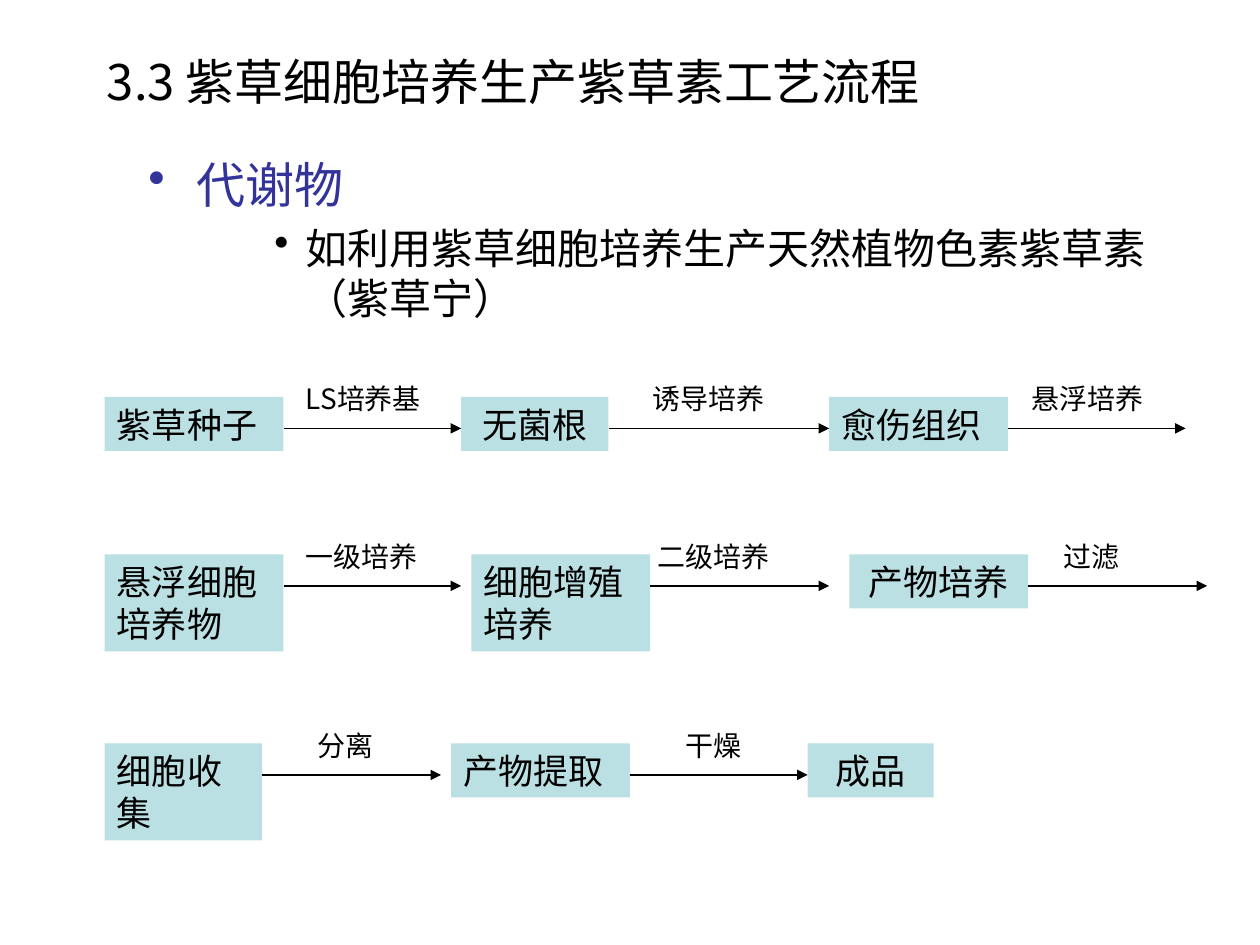
"""Build a slide showing the process flow for shikonin production by cell culture."""
from lxml.etree import SubElement
from pptx import Presentation
from pptx.dml.color import RGBColor
from pptx.enum.shapes import MSO_CONNECTOR as CONNECTOR, MSO_SHAPE as SHAPE
from pptx.enum.text import MSO_ANCHOR as ANCHOR, PP_ALIGN as ALIGN
from pptx.oxml.ns import qn
from pptx.util import Inches, Pt

BLACK = RGBColor(0x00, 0x00, 0x00)
INDIGO = RGBColor(0x33, 0x33, 0x99)
PALE_TEAL = RGBColor(0xBB, 0xE0, 0xE3)
FONT = "Noto Sans CJK JP"


def write(p, text, size=20, color=BLACK, font=FONT, align=ALIGN.LEFT):
    """Add a formatted run to a paragraph."""
    p.alignment = align
    r = p.add_run()
    r.text = text
    r.font.size = Pt(size)
    r.font.color.rgb = color
    r.font.name = font
    SubElement(r._r.get_or_add_rPr(), qn("a:ea"), typeface=FONT)


class FlowSlide:
    """Hold the style and the current slide."""

    def __init__(self, prs):
        self.slide = prs.slides.add_slide(prs.slide_layouts[6])

    def text(self, x, y, w, h, text, **style):
        """Add a text box with one paragraph."""
        tf = self.frame(x, y, w, h)
        write(tf.paragraphs[0], text, **style)

    def frame(self, x, y, w, h):
        """Add an empty wrapping text box and return its text frame."""
        s = self.slide.shapes.add_textbox(Inches(x), Inches(y), Inches(w), Inches(h))
        s.text_frame.word_wrap = True
        return s.text_frame

    def bullets(self, x, y, w, h, items):
        """Add a bulleted list of (text, level, margin, hang, style) items."""
        tf = self.frame(x, y, w, h)
        for i, (text, level, margin, hang, style) in enumerate(items):
            p = tf.add_paragraph() if i else tf.paragraphs[0]
            p.level = level
            if i:
                p.space_before = Pt(5)
            pPr = p._p.get_or_add_pPr()
            pPr.set("marL", str(Inches(margin)))
            pPr.set("indent", str(-Inches(hang)))
            SubElement(pPr, qn("a:buChar"), char="•")
            write(p, text, **style)

    def step(self, x, y, w, h, text, align):
        """Add a filled process box."""
        s = self.slide.shapes.add_shape(
            SHAPE.RECTANGLE, Inches(x), Inches(y), Inches(w), Inches(h))
        s.shadow.inherit = False
        s.fill.solid()
        s.fill.fore_color.rgb = PALE_TEAL
        s.line.fill.background()
        tf = s.text_frame
        tf.word_wrap = True
        tf.vertical_anchor = ANCHOR.TOP
        write(tf.paragraphs[0], text, align=align)

    def arrow(self, x1, x2, y):
        """Add a horizontal arrow."""
        s = self.slide.shapes.add_connector(
            CONNECTOR.STRAIGHT, Inches(x1), Inches(y), Inches(x2), Inches(y))
        s.line.color.rgb = BLACK
        s.line.width = Pt(0.75)
        SubElement(s.line._get_or_add_ln(), qn("a:tailEnd"), type="triangle")
        SubElement(s._element.spPr, qn("a:effectLst"))


def main():
    """Lay out the title, the bullets and the three rows of the process."""
    prs = Presentation()
    prs.slide_width, prs.slide_height = Inches(10), Inches(7.5)
    flow = FlowSlide(prs)
    flow.text(0.75, 0.36, 6.79, 0.57, "3.3 紫草细胞培养生产紫草素工艺流程", size=28)
    flow.bullets(1.08, 1.18, 8.5, 1.63, [
        ("代谢物", 0, 0.38, 0.38, dict(size=28, color=INDIGO)),
        ("如利用紫草细胞培养生产天然植物色素紫草素（紫草宁）", 2, 1.25, 0.25, dict(size=24)),
    ])

    one_line, two_lines = 0.43, 0.77
    left, center = ALIGN.LEFT, ALIGN.CENTER
    rows = [
        (3.15, [(0.83, 1.42, one_line, "紫草种子", left),
                (3.66, 1.17, one_line, "无菌根", center),
                (6.58, 1.42, one_line, "愈伤组织", left)],
         [(2.33, 3.66, "LS培养基", {}),
          (5.08, 6.58, "诱导培养", {}),
          (8.09, 9.41, "悬浮培养", dict(font="Karla"))]),
        (4.4, [(0.83, 1.42, two_lines, "悬浮细胞培养物", left),
               (3.74, 1.42, two_lines, "细胞增殖培养", left),
               (6.74, 1.42, one_line, "产物培养", center)],
         [(2.33, 3.66, "一级培养", {}),
          (5.08, 6.58, "二级培养", dict(align=center)),
          (8.08, 9.58, "过滤", dict(align=center))]),
        (5.9, [(0.83, 1.25, two_lines, "细胞收集", left),
               (3.58, 1.42, one_line, "产物提取", left),
               (6.41, 1, one_line, "成品", center)],
         [(2.16, 3.5, "分离", dict(align=center)),
          (5.08, 6.41, "干燥", dict(align=center))]),
    ]
    for y, steps, links in rows:
        for x, w, h, text, align in steps:
            flow.step(x, y, w, h, text, align)
        for (x, w, *_), (label_x, end, label, style) in zip(steps, links):
            flow.arrow(x + w, end, y + 0.25)
            flow.text(label_x, y - 0.17, 1.17, 0.37, label, size=16, **style)
    prs.save("out.pptx")


if __name__ == "__main__":
    main()
